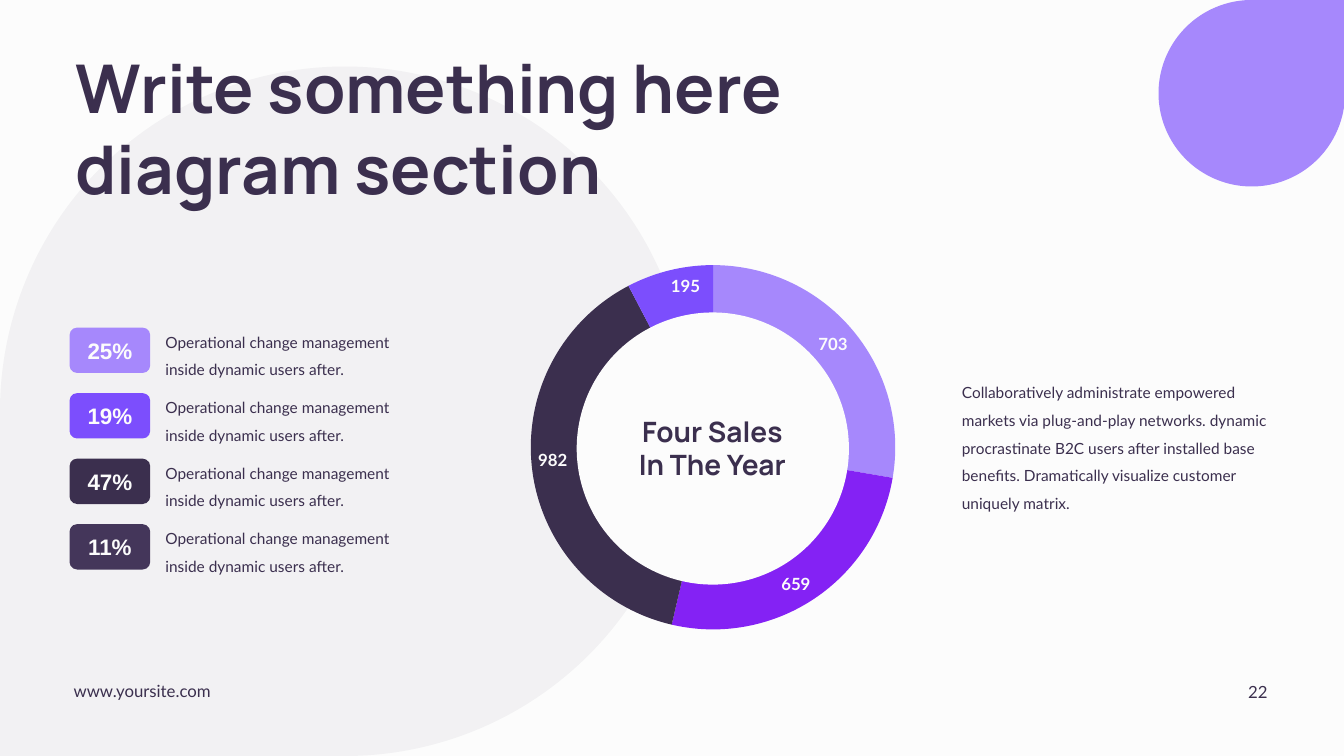
from dataclasses import dataclass

from lxml import etree
from pptx import Presentation
from pptx.chart.data import CategoryChartData
from pptx.dml.color import RGBColor
from pptx.enum.chart import XL_CHART_TYPE, XL_LABEL_POSITION
from pptx.enum.shapes import MSO_SHAPE
from pptx.enum.text import MSO_ANCHOR, PP_ALIGN
from pptx.oxml import parse_xml
from pptx.oxml.ns import nsdecls, qn
from pptx.util import Inches, Pt

TEARDROP = MSO_SHAPE.TEAR
ROUNDED = MSO_SHAPE.ROUNDED_RECTANGLE
ELLIPSE = MSO_SHAPE.OVAL
PIE = XL_CHART_TYPE.PIE
INSIDE_END = XL_LABEL_POSITION.INSIDE_END
LEFT, CENTER, RIGHT = PP_ALIGN.LEFT, PP_ALIGN.CENTER, PP_ALIGN.RIGHT
TOP, MIDDLE = MSO_ANCHOR.TOP, MSO_ANCHOR.MIDDLE


@dataclass(frozen=True)
class Theme:
    paper: str = "FCFCFC"
    ink: str = "3B2F4E"
    plum: str = "44365A"
    lilac: str = "A688FC"
    violet: str = "7C4EFD"
    purple: str = "8422F4"
    heading_font: str = "Manrope"
    body_font: str = "Lato"
    badge_font: str = "Arial"
    title_size: int = 48
    center_size: int = 20
    badge_size: int = 16
    small_size: int = 12
    body_size: int = 11
    chart_size: int = 10


THEME = Theme()

TITLE_STYLE = {"name": THEME.heading_font, "size": THEME.title_size,
               "color": THEME.ink, "bold": True}
CENTER_STYLE = {**TITLE_STYLE, "size": THEME.center_size}
BODY_STYLE = {"name": THEME.body_font, "size": THEME.body_size, "color": THEME.ink}
SMALL_STYLE = {**BODY_STYLE, "size": THEME.small_size}
CHART_STYLE = {**BODY_STYLE, "size": THEME.chart_size}
LABEL_STYLE = {**SMALL_STYLE, "color": THEME.paper, "bold": True}
BADGE_STYLE = {"name": THEME.badge_font, "size": THEME.badge_size,
               "color": THEME.paper, "bold": True}

LEGEND_TEXT = "Operational change management inside dynamic users after."
LEGEND = [("25%", THEME.lilac), ("19%", THEME.violet),
          ("47%", THEME.ink), ("11%", THEME.plum)]
LEGEND_TOP, LEGEND_STEP = 3.25, 0.65

SALES = [("1", 703, THEME.lilac), ("2", 659, THEME.purple),
         ("3", 982, THEME.ink), ("4", 195, THEME.violet)]
PLOT_AREA = {"x": 0.004, "y": 0, "w": 0.996, "h": 0.996}

SUMMARY = ("Collaboratively administrate empowered markets via plug-and-play "
           "networks. dynamic procrastinate B2C users after installed base "
           "benefits. Dramatically visualize customer uniquely matrix.")


def paint(fill, color):
    fill.solid()
    fill.fore_color.rgb = RGBColor.from_string(color)


def style_font(font, style):
    for key, value in style.items():
        if key == "color":
            font.color.rgb = RGBColor.from_string(value)
        else:
            setattr(font, key, Pt(value) if key == "size" else value)


def add_text(slide, box, lines, style, align=LEFT, spacing=None,
             anchor=TOP, inset=False):
    frame = slide.shapes.add_textbox(*map(Inches, box)).text_frame
    frame.word_wrap = True
    frame.vertical_anchor = anchor
    if not inset:
        for side in ("left", "top", "right", "bottom"):
            setattr(frame, f"margin_{side}", 0)
    for index, line in enumerate(lines):
        paragraph = frame.add_paragraph() if index else frame.paragraphs[0]
        paragraph.alignment = align
        paragraph.line_spacing = spacing
        run = paragraph.add_run()
        run.text = line
        style_font(run.font, style)


def add_figure(slide, preset, box, color, rotation=0, opacity=None):
    figure = slide.shapes.add_shape(preset, *map(Inches, box))
    figure.shadow.inherit = False
    figure.rotation = rotation
    paint(figure.fill, color)
    figure.line.fill.background()
    if opacity is not None:
        tint = figure.fill._xPr.find(qn("a:solidFill"))[0]
        etree.SubElement(tint, qn("a:alpha"), val=str(opacity * 1000))


def add_legend_row(slide, top, share, color):
    add_text(slide, (1.64, top - 0.04, 2.24, 0.52), [LEGEND_TEXT], BODY_STYLE,
             spacing=1.5)
    add_figure(slide, ROUNDED, (0.69, top, 0.8, 0.45), color)
    add_text(slide, (0.74, top + 0.09, 0.7, 0.27), [share], BADGE_STYLE, CENTER)


def add_sales_pie(slide, box):
    sales = CategoryChartData(number_format="#,##0")
    sales.categories = [quarter for quarter, _, _ in SALES]
    sales.add_series("Series 1", [value for _, value, _ in SALES])
    chart = slide.shapes.add_chart(PIE, *map(Inches, box), sales).chart
    chart.has_legend = False
    chart.has_title = False
    style_font(chart.font, CHART_STYLE)

    plot = chart.plots[0]
    plot.vary_by_categories = False
    for index, (_, _, color) in enumerate(SALES):
        wedge = plot.series[0].points[index].format
        paint(wedge.fill, color)
        wedge.line.fill.background()

    plot.has_data_labels = True
    labels = plot.data_labels
    label_format = {"show_value": True, "show_percentage": False,
                    "number_format": "#,##0", "number_format_is_linked": False,
                    "position": INSIDE_END}
    for key, value in label_format.items():
        setattr(labels, key, value)
    style_font(labels.font, LABEL_STYLE)

    # Stretch the pie to the chart frame
    places = "".join(f'<c:{key} val="{value}"/>' for key, value in PLOT_AREA.items())
    layout = parse_xml(
        f'<c:layout {nsdecls("c")}><c:manualLayout><c:layoutTarget val="inner"/>'
        f'<c:xMode val="edge"/><c:yMode val="edge"/>{places}'
        '</c:manualLayout></c:layout>')
    plot_area = chart._chartSpace.find(".//" + qn("c:plotArea"))
    for default_layout in plot_area.findall(qn("c:layout")):
        plot_area.remove(default_layout)
    plot_area.insert(0, layout)


def main():
    deck = Presentation()
    deck.slide_width, deck.slide_height = Inches(13.33), Inches(7.5)
    slide = deck.slides.add_slide(deck.slide_layouts[6])
    paint(slide.background.fill, THEME.paper)

    # Backdrop and footer
    add_text(slide, (0.73, 6.75, 2.71, 0.2), ["www.yoursite.com"], SMALL_STYLE)
    add_figure(slide, TEARDROP, (11.49, 0, 1.85, 1.85), THEME.lilac)
    add_figure(slide, TEARDROP, (0, 0.66, 6.84, 6.84), THEME.ink,
               rotation=180, opacity=5)
    add_text(slide, (9.67, 6.66, 3, 0.4), ["22"], SMALL_STYLE, RIGHT,
             anchor=MIDDLE, inset=True)

    # Title
    add_text(slide, (0.65, 0.41, 9.48, 1.72),
             ["Write something here diagram section"], TITLE_STYLE, inset=True)

    # Sales ring: a pie with a disc over its middle
    add_sales_pie(slide, (5.25, 2.63, 3.63, 3.63))
    add_figure(slide, ELLIPSE, (5.72, 3.1, 2.7, 2.7), THEME.paper)
    add_text(slide, (5.89, 4.11, 2.35, 0.67), ["Four Sales", "In The Year"],
             CENTER_STYLE, CENTER)

    # Legend on the left, summary on the right
    for row, (share, color) in enumerate(LEGEND):
        add_legend_row(slide, LEGEND_TOP + row * LEGEND_STEP, share, color)
    add_text(slide, (9.54, 3.71, 3.13, 1.36), [SUMMARY], BODY_STYLE, spacing=1.5)

    deck.save("out.pptx")


if __name__ == "__main__":
    main()
